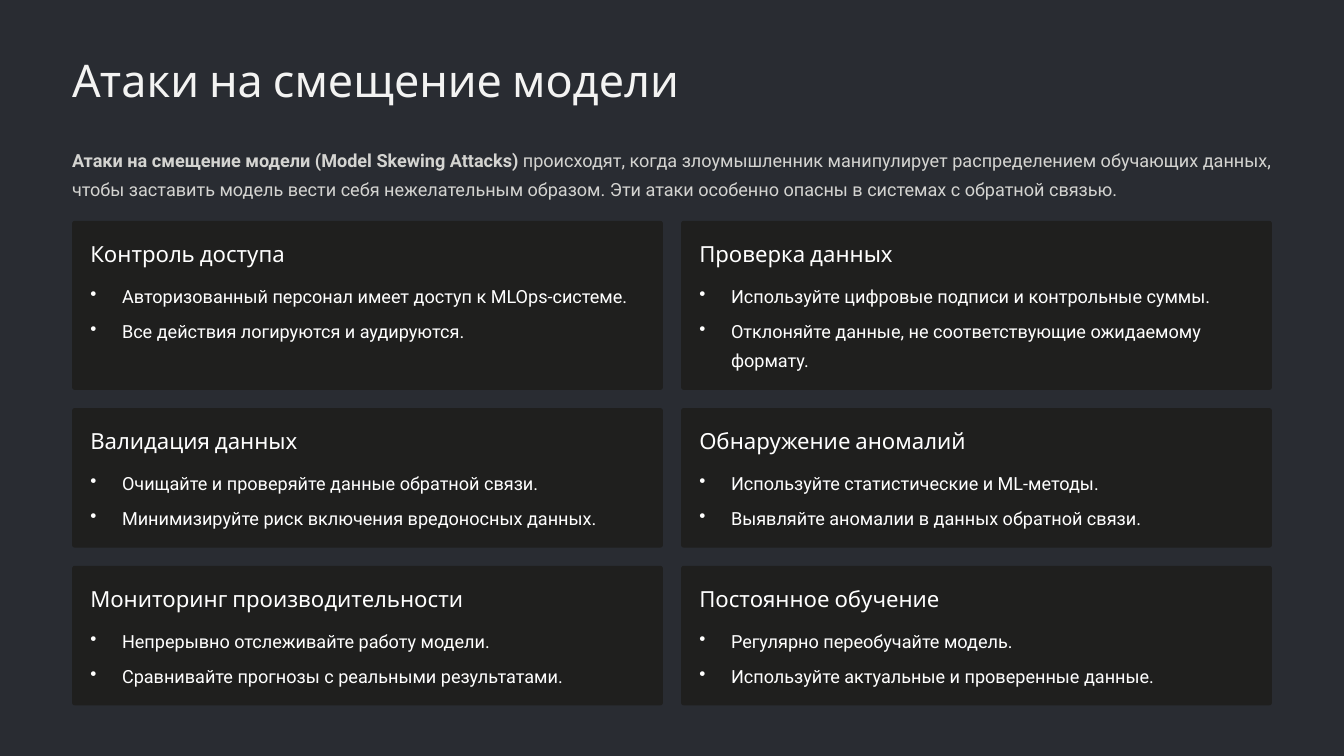
import pptx
import pptx.dml.color
import pptx.enum.shapes
import pptx.enum.text
import pptx.util
from lxml import etree
from pptx.util import Cm, Pt

TITLE = "Атаки на смещение модели"
INTRO = [
    ("Атаки на смещение модели (Model Skewing Attacks)", True),
    (" происходят, когда злоумышленник манипулирует распределением обучающих данных, "
     "чтобы заставить модель вести себя нежелательным образом. "
     "Эти атаки особенно опасны в системах с обратной связью.", False),
]
# Each row: card height in cm, then (heading, bullets) for every column
ROWS = [
    (5.11, [
        ("Контроль доступа",
         ["Авторизованный персонал имеет доступ к MLOps-системе.",
          "Все действия логируются и аудируются."]),
        ("Проверка данных",
         ["Используйте цифровые подписи и контрольные суммы.",
          "Отклоняйте данные, не соответствующие ожидаемому формату."]),
    ]),
    (4.22, [
        ("Валидация данных",
         ["Очищайте и проверяйте данные обратной связи.",
          "Минимизируйте риск включения вредоносных данных."]),
        ("Обнаружение аномалий",
         ["Используйте статистические и ML-методы.",
          "Выявляйте аномалии в данных обратной связи."]),
    ]),
    (4.22, [
        ("Мониторинг производительности",
         ["Непрерывно отслеживайте работу модели.",
          "Сравнивайте прогнозы с реальными результатами."]),
        ("Постоянное обучение",
         ["Регулярно переобучайте модель.",
          "Используйте актуальные и проверенные данные."]),
    ]),
]
COLORS = {"back": "292C32", "card": "1F1F1E", "title": "F3F3F2",
          "intro": "D4D4D1", "text": "FFFFFF"}
HEAD_FONT, BODY_FONT = "Cabin", "Roboto"

SLIDE_W, SLIDE_H = 40.64, 22.86
MARGIN, GAP, PAD = 2.18, 0.55, 0.55
CONTENT_W = SLIDE_W - 2 * MARGIN
CARD_W = (CONTENT_W - GAP) / 2
CARDS_TOP, BULLETS_DY, RADIUS = 6.68, 1.74, 0.08
INDENT = 0.96


def rgb(name):
    return pptx.dml.color.RGBColor.from_string(COLORS[name])


def add_bullet(p):
    pPr = p._p.get_or_add_pPr()
    pPr.set("marL", str(Cm(INDENT)))
    pPr.set("indent", str(-Cm(INDENT)))
    bu = etree.SubElement(pPr, pptx.oxml.ns.qn("a:buChar"))
    bu.set("char", "•")


def write(shape, box, paragraphs, *, font, size, color, line, bullet=False, space=0):
    """Place a text shape; each paragraph is a list of (text, bold) runs."""
    shape.left, shape.top, shape.width, shape.height = (Cm(v) for v in box)
    tf = shape.text_frame
    tf.word_wrap = True
    tf.auto_size = pptx.enum.text.MSO_AUTO_SIZE.NONE
    tf.vertical_anchor = pptx.enum.text.MSO_ANCHOR.TOP
    tf.margin_left = tf.margin_right = tf.margin_top = tf.margin_bottom = 0
    for i, runs in enumerate(paragraphs):
        p = tf.add_paragraph() if i else tf.paragraphs[0]
        if bullet:
            add_bullet(p)
        p.alignment = pptx.enum.text.PP_ALIGN.LEFT
        p.line_spacing = Pt(line)
        p.space_before = Pt(space if i else 0)
        for text, bold in runs:
            r = p.add_run()
            r.text = text
            r.font.name, r.font.size, r.font.bold = font, Pt(size), bold
            r.font.color.rgb = rgb(color)


def add_text(s, box, paragraphs, **fmt):
    write(s.shapes.add_textbox(0, 0, 0, 0), box, paragraphs, **fmt)


def add_card(s, left, top, height, heading, bullets):
    sp = s.shapes.add_shape(pptx.enum.shapes.MSO_SHAPE.ROUNDED_RECTANGLE,
                            Cm(left), Cm(top), Cm(CARD_W), Cm(height))
    sp.adjustments[0] = RADIUS / height
    sp.shadow.inherit = False
    sp.fill.solid()
    sp.fill.fore_color.rgb = rgb("card")
    sp.line.fill.background()
    x, w = left + PAD, CARD_W - 2 * PAD
    add_text(s, (x, top + PAD, w, 0.87), [[(heading, False)]],
             font=HEAD_FONT, size=19, color="text", line=24)
    add_text(s, (x, top + BULLETS_DY, w, height - BULLETS_DY - PAD),
             [[(b, False)] for b in bullets],
             font=BODY_FONT, size=15.5, color="text", line=24.5, bullet=True, space=5.7)


def main():
    prs = pptx.Presentation()
    prs.slide_width, prs.slide_height = Cm(SLIDE_W), Cm(SLIDE_H)
    s = prs.slides.add_slide(prs.slide_layouts.get_by_name("Title Only"))
    s.background.fill.solid()
    s.background.fill.fore_color.rgb = rgb("back")

    write(s.shapes.title, (MARGIN, 1.52, CONTENT_W, 1.7), [[(TITLE, False)]],
          font=HEAD_FONT, size=38.5, color="title", line=48.5)
    add_text(s, (MARGIN, 4.32, CONTENT_W, 1.75), [INTRO],
             font=BODY_FONT, size=15.5, color="intro", line=24.5)

    top = CARDS_TOP
    for height, cards in ROWS:
        for col, (heading, bullets) in enumerate(cards):
            add_card(s, MARGIN + col * (CARD_W + GAP), top, height, heading, bullets)
        top += height + GAP

    prs.save("out.pptx")


if __name__ == "__main__":
    main()
